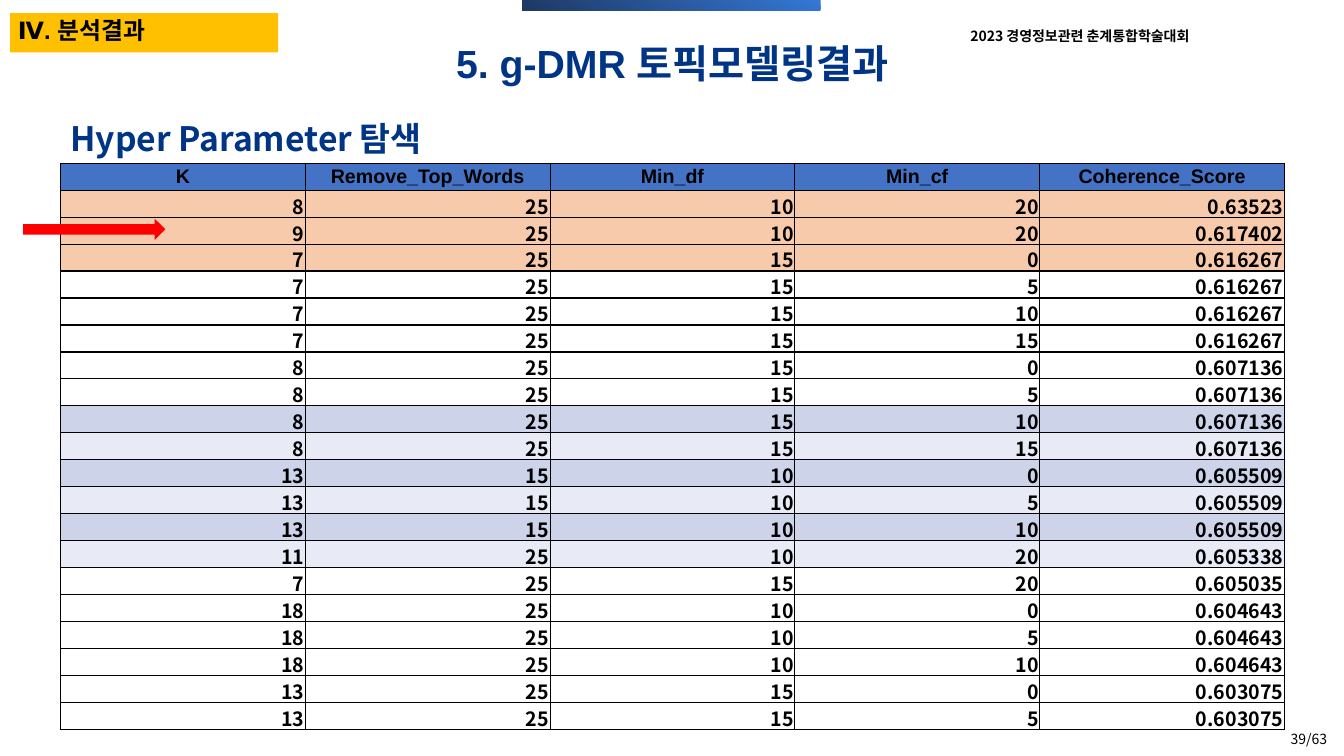
from pptx import Presentation
from pptx.dml.color import RGBColor as RGB
from pptx.enum.shapes import MSO_SHAPE as SHAPE
from pptx.enum.text import MSO_ANCHOR as ANCHOR, PP_ALIGN as ALIGN
from pptx.oxml import parse_xml
from pptx.oxml.ns import nsdecls, qn
from pptx.util import Inches, Pt

HUES = {
    "black": "000000", "white": "FFFFFF", "navy": "003586", "gold": "FFC000",
    "red": "FF0000", "sky": "3378D5", "dusk": "1F3864", "head": "4472C4",
    "peach": "F7CAAC", "band": "CDD4EA", "pale": "E8EBF5",
}
NOTO = "Noto Sans CJK KR"
ARIAL = "Arial"
HEADS = ["K", "Remove_Top_Words", "Min_df", "Min_cf", "Coherence_Score"]
SCORES = [
    (8, 25, 10, 20, "0.63523"), (9, 25, 10, 20, "0.617402"),
    (7, 25, 15, 0, "0.616267"), (7, 25, 15, 5, "0.616267"),
    (7, 25, 15, 10, "0.616267"), (7, 25, 15, 15, "0.616267"),
    (8, 25, 15, 0, "0.607136"), (8, 25, 15, 5, "0.607136"),
    (8, 25, 15, 10, "0.607136"), (8, 25, 15, 15, "0.607136"),
    (13, 15, 10, 0, "0.605509"), (13, 15, 10, 5, "0.605509"),
    (13, 15, 10, 10, "0.605509"), (11, 25, 10, 20, "0.605338"),
    (7, 25, 15, 20, "0.605035"), (18, 25, 10, 0, "0.604643"),
    (18, 25, 10, 5, "0.604643"), (18, 25, 10, 10, "0.604643"),
    (13, 25, 15, 0, "0.603075"), (13, 25, 15, 5, "0.603075"),
]
FILLS = ["peach"] * 3 + ["white"] * 5 + ["band", "pale"] * 3 + ["white"] * 6


class Deck:
    """Holds the style and the current slide, and draws each kind of element."""

    def __init__(self):
        self.prs = Presentation()
        self.prs.slide_width, self.prs.slide_height = Inches(13.33), Inches(7.5)
        self.slide = self.prs.slides.add_slide(self.prs.slide_layouts[6])

    def style(self, frame, size, face, hue="black", bold=True, align=ALIGN.LEFT):
        para = frame.paragraphs[0]
        para.alignment = align
        for run in para.runs:
            font = run.font
            font.size, font.name, font.bold = Pt(size), face, bold
            font.color.rgb = RGB.from_string(HUES[hue])
            east = parse_xml(f'<a:ea {nsdecls("a")} typeface="{NOTO}"/>')
            run._r.rPr.find(qn("a:latin")).addnext(east)

    def text(self, words, place, size, face, anchor=ANCHOR.TOP, **look):
        box = self.slide.shapes.add_textbox(*map(Inches, place))
        frame = box.text_frame
        frame.word_wrap = True
        frame.vertical_anchor = anchor
        frame.text = words
        self.style(frame, size, face, **look)

    def shape(self, kind, place, hue):
        item = self.slide.shapes.add_shape(kind, *map(Inches, place))
        item.shadow.inherit = False
        item.line.fill.background()
        item.fill.solid()
        item.fill.fore_color.rgb = RGB.from_string(HUES[hue])
        return item

    def blend(self, place, hues, angle, turn):
        item = self.shape(SHAPE.RECTANGLE, place, hues[0])
        item.rotation = turn
        item.fill.gradient()
        item.fill.gradient_angle = angle
        for stop, hue, spot in zip(item.fill.gradient_stops, hues, (0, 1)):
            stop.color.rgb = RGB.from_string(HUES[hue])
            stop.position = spot

    def cell(self, cell, words, hue, head):
        cell.fill.solid()
        cell.fill.fore_color.rgb = RGB.from_string(HUES[hue])
        side = Inches(0 if head else 0.01)
        cell.margin_left = cell.margin_right = cell.margin_top = side
        cell.margin_bottom = 0
        cell.vertical_anchor = ANCHOR.MIDDLE if head else ANCHOR.BOTTOM
        cell.text_frame.text = str(words)
        self.style(cell.text_frame, 14, ARIAL if head else NOTO,
                   align=ALIGN.CENTER if head else ALIGN.RIGHT)
        props = cell._tc.get_or_add_tcPr()
        for spot, edge in enumerate(("lnL", "lnR", "lnT", "lnB")):
            props.insert(spot, parse_xml(
                f'<a:{edge} {nsdecls("a")} w="{Pt(1)}"><a:solidFill>'
                f'<a:srgbClr val="{HUES["black"]}"/></a:solidFill></a:{edge}>'))

    def table(self, rows, fills, left, top, wide, high):
        count, cols = len(rows), len(rows[0])
        grid = self.slide.shapes.add_table(
            count, cols, Inches(left), Inches(top),
            Inches(wide), Inches(high)).table
        grid.first_row = grid.horz_banding = False
        for y, (row, hue) in enumerate(zip(rows, fills)):
            for x, words in enumerate(row):
                self.cell(grid.cell(y, x), words, hue, y == 0)


def main():
    deck = Deck()
    deck.text("39/63", (10.26, 7.06, 3, 0.4), 10, NOTO, ANCHOR.BOTTOM,
              bold=False, align=ALIGN.RIGHT)
    deck.text("2023 경영정보관련 춘계통합학술대회", (9.38, 0.22, 2.66, 0.27),
              10, NOTO, align=ALIGN.CENTER)
    deck.shape(SHAPE.RECTANGLE, (0.1, 0.13, 2.66, 0.39), "gold")
    deck.blend((6.61, -1.43, 0.1, 2.96), ("sky", "dusk"), 315, 90)
    deck.text("Ⅳ. 분석결과", (0.08, 0.11, 1.96, 0.39), 17, ARIAL)
    deck.text("Hyper Parameter 탐색", (0.6, 1.12, 6.83, 0.52), 24, NOTO,
              hue="navy")
    deck.table([HEADS] + SCORES, ["head"] + FILLS, 0.6, 1.62, 12.14, 5.62)
    deck.text("5. g-DMR 토픽모델링결과", (3.61, 0.34, 6.12, 0.57), 28, ARIAL,
              hue="navy", align=ALIGN.CENTER)
    deck.shape(SHAPE.RIGHT_ARROW, (0.23, 2.17, 1.41, 0.21), "red")
    deck.prs.save("out.pptx")


if __name__ == "__main__":
    main()
